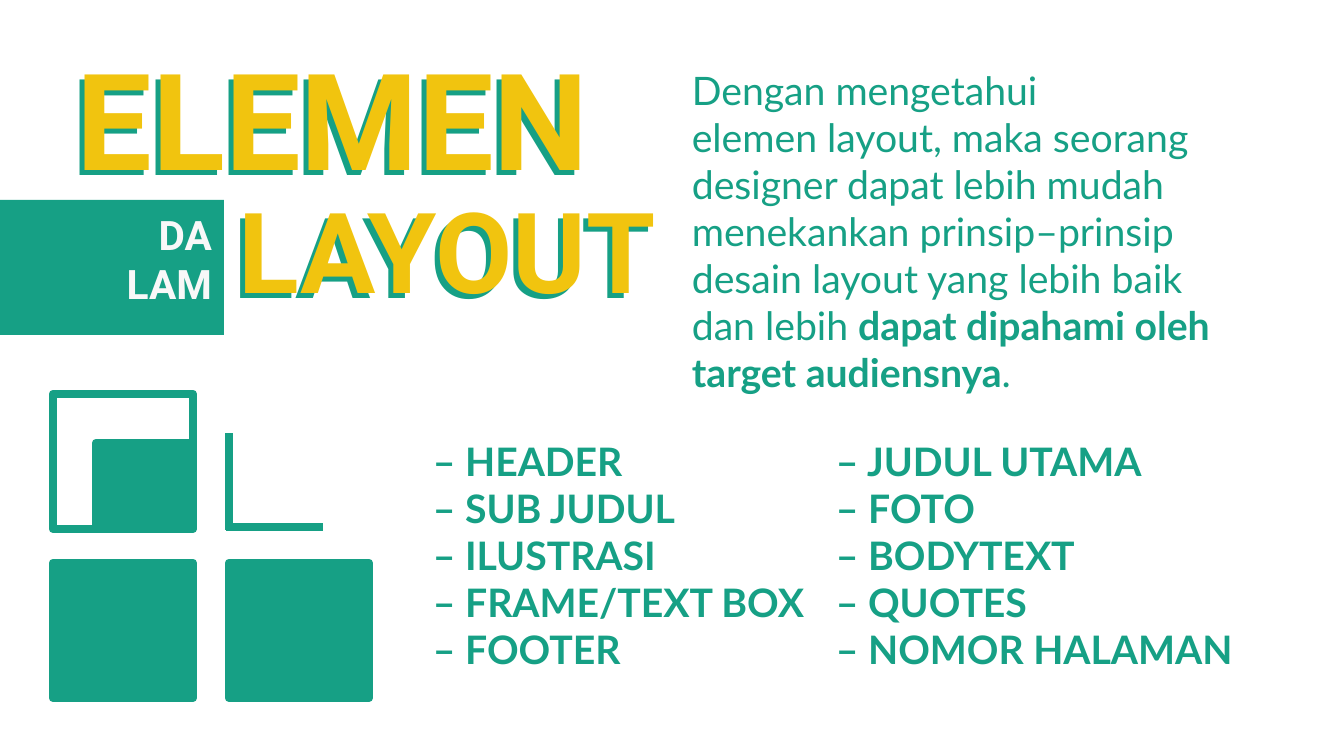
import pptx
import pptx.dml.color
import pptx.enum.shapes
import pptx.enum.text
import pptx.oxml
import pptx.oxml.ns
import pptx.util

PX = 914400 / 100.8
GREEN, YELLOW, PALE = "16A085", "F1C40F", "F8F8F8"
STROKE = 6
ALIGN = pptx.enum.text.PP_ALIGN
ANCHOR = pptx.enum.text.MSO_ANCHOR


def px(length):
    return pptx.util.Emu(round(length * PX))


def rgb(code):
    return pptx.dml.color.RGBColor.from_string(code)


def add_text(slide, box, paragraphs, size, font, color, anchor=ANCHOR.TOP, tab=None, **layout):
    """Each paragraph is a list of (text, bold) runs; layout holds paragraph attributes."""
    frame = slide.shapes.add_textbox(*map(px, box)).text_frame
    frame.word_wrap = True
    frame.vertical_anchor = anchor
    for index, runs in enumerate(paragraphs):
        paragraph = frame.add_paragraph() if index else frame.paragraphs[0]
        for name, value in layout.items():
            setattr(paragraph, name, value)
        if tab:
            stops = pptx.oxml.parse_xml(
                f'<a:tabLst {pptx.oxml.ns.nsdecls("a")}>'
                f'<a:tab pos="{px(tab)}" algn="l"/></a:tabLst>')
            paragraph._p.get_or_add_pPr().append(stops)
        for text, bold in runs:
            run = paragraph.add_run()
            run.text = text
            style = {"name": font, "size": pptx.util.Pt(size), "bold": bold}
            for name, value in style.items():
                setattr(run.font, name, value)
            run.font.color.rgb = rgb(color)


def add_block(slide, box, filled=True, outlined=True):
    block = slide.shapes.add_shape(pptx.enum.shapes.MSO_SHAPE.RECTANGLE, *map(px, box))
    block.shadow.inherit = False
    if filled:
        block.fill.solid()
        block.fill.fore_color.rgb = rgb(GREEN)
    else:
        block.fill.background()
    if outlined:
        block.line.color.rgb = rgb(GREEN)
        block.line.width = pptx.util.Pt(STROKE)
    else:
        block.line.fill.background()


def add_stroke(slide, *ends):
    stroke = slide.shapes.add_connector(pptx.enum.shapes.MSO_CONNECTOR.STRAIGHT, *map(px, ends))
    stroke.line.color.rgb = rgb(GREEN)
    stroke.line.width = pptx.util.Pt(STROKE)
    stroke._element.spPr.append(
        pptx.oxml.parse_xml(f'<a:effectLst {pptx.oxml.ns.nsdecls("a")}/>'))


def add_double_title(slide, box, word, size, **layout):
    """Yellow word over a green one that is set slightly down and left."""
    left, top, width, height = box
    for shift, color in ((0, GREEN), (5, YELLOW)):
        add_text(slide, (left + shift, top - shift, width, height), [[(word, True)]],
                 size, "Roboto", color, ANCHOR.MIDDLE, **layout)


def add_heading(slide, box):
    left, top, width, height = box
    add_double_title(slide, (left + 62, top, 695, 168), "ELEMEN", 96, line_spacing=0.9)
    add_double_title(slide, (left + 224, top + 132, 578, 147), "LAYOUT", 80)
    add_block(slide, (left, top + 152, 224, 135), outlined=False)
    add_text(slide, (left + 47, top + 160, 175, 102), [[("DA", True)], [("LAM", True)]],
             29, "Roboto", PALE, ANCHOR.MIDDLE, alignment=ALIGN.RIGHT)


def add_layout_icon(slide, box):
    left, top, width, height = box
    tile_w, tile_h = 140, 135
    right, lower = left + width - tile_w, top + height - tile_h
    add_stroke(slide, right - 3, top + 133, right + 94, top + 133)
    add_stroke(slide, right, top + 136, right, top + 39)
    add_block(slide, (left, top, tile_w, tile_h), filled=False)
    for column in (left, right):
        add_block(slide, (column, lower, tile_w, tile_h))
    add_block(slide, (left + 43, top + 49, 97, 85))


def add_intro(slide, box):
    add_text(slide, box, [
        [("Dengan mengetahui", False)],
        [("elemen layout, maka seorang designer dapat lebih mudah menekankan "
          "prinsip–prinsip desain layout yang lebih baik dan lebih ", False),
         ("dapat dipahami oleh target audiensnya", True), (".", False)],
    ], 28, "Lato", GREEN)


def add_element_list(slide, box):
    pairs = [
        ("HEADER", "JUDUL UTAMA"),
        ("SUB JUDUL", "FOTO"),
        ("ILUSTRASI", "BODYTEXT"),
        ("FRAME/TEXT BOX", "QUOTES"),
        ("FOOTER", "NOMOR HALAMAN"),
    ]
    add_text(slide, box, [[(f"– {first}\t– {second}", True)] for first, second in pairs],
             28, "Lato", GREEN, tab=403)


def main():
    deck = pptx.Presentation()
    deck.slide_width, deck.slide_height = px(1344), px(756)
    slide = deck.slides.add_slide(deck.slide_layouts[6])
    add_heading(slide, (0, 48, 802, 287))
    add_layout_icon(slide, (53, 394, 316, 304))
    add_intro(slide, (682, 61, 566, 343))
    add_element_list(slide, (423, 432, 834, 248))
    deck.save("out.pptx")


if __name__ == "__main__":
    main()
